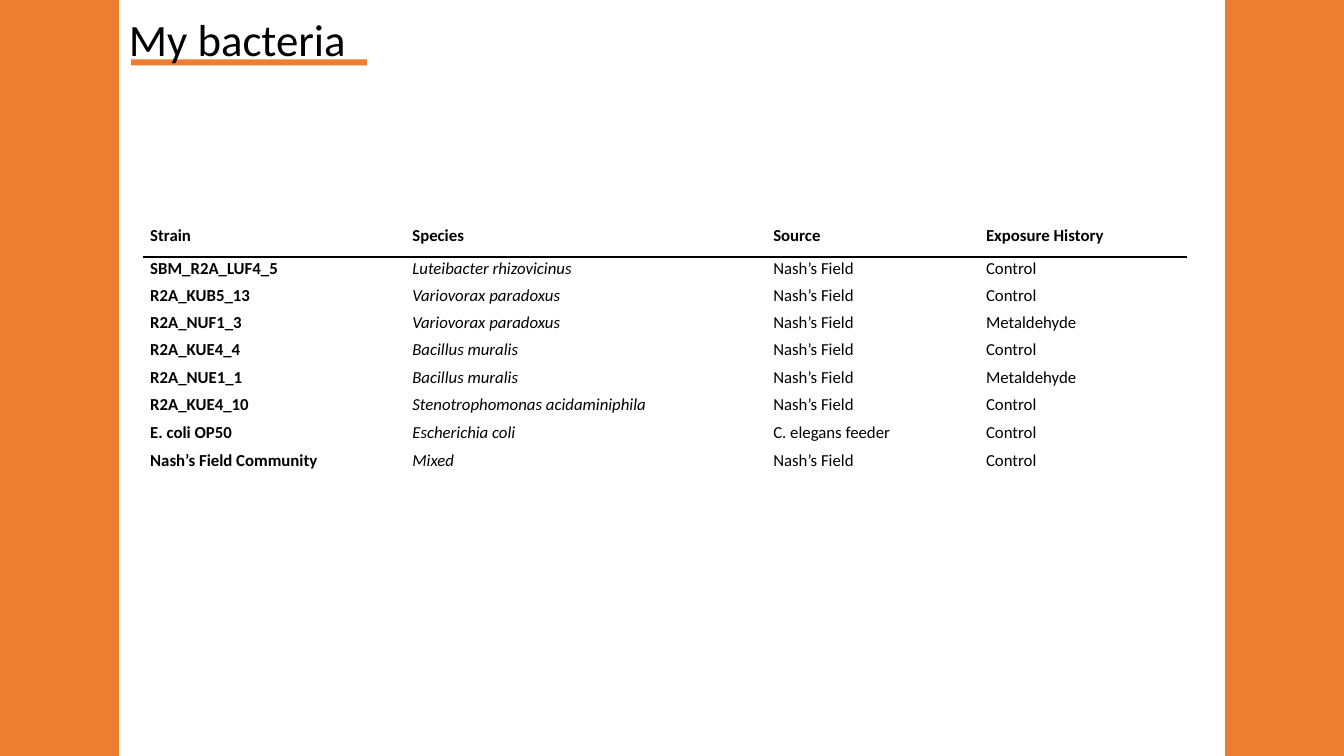
import pptx
import pptx.util
import pptx.dml.color
import pptx.enum.shapes
import pptx.enum.text
import pptx.oxml
import pptx.oxml.ns
from pptx.util import Inches
from dataclasses import dataclass


@dataclass(frozen=True)
class Theme:
    font: str = "Calibri"
    accent: str = "ED7D31"
    ink: str = "000000"
    paper: str = "FFFFFF"
    title_size: int = 32
    table_size: int = 12


theme = Theme()


def style_text(paragraph, size, spacing):
    paragraph.line_spacing = spacing
    paragraph.font.name = theme.font
    paragraph.font.size = pptx.util.Pt(size)
    paragraph.font.color.rgb = pptx.dml.color.RGBColor.from_string(theme.ink)


def add_border(cell, side, color):
    cell._tc.get_or_add_tcPr().append(pptx.oxml.parse_xml(
        f'<a:ln{side} {pptx.oxml.ns.nsdecls("a")} w="12700"><a:solidFill>'
        f'<a:srgbClr val="{color}"/></a:solidFill></a:ln{side}>'))


presentation = pptx.Presentation()
presentation.slide_width = Inches(13.33)
presentation.slide_height = Inches(7.5)
slide = presentation.slides.add_slide(presentation.slide_layouts[6])

underline = (1.3, 0.59, 2.34, 0.06)
left_band = (0, 0, 1.18, 7.5)
right_band = (12.15, 0, 1.18, 7.5)
for box in (underline, left_band, right_band):
    bar = slide.shapes.add_shape(
        pptx.enum.shapes.MSO_SHAPE.RECTANGLE, *map(Inches, box))
    bar.shadow.inherit = False
    bar.fill.solid()
    bar.fill.fore_color.rgb = pptx.dml.color.RGBColor.from_string(theme.accent)
    bar.line.fill.background()

title = slide.shapes.add_textbox(
    Inches(1.18), Inches(-0.31), Inches(11.5), Inches(1.45)).text_frame
title.word_wrap = True
title.vertical_anchor = pptx.enum.text.MSO_ANCHOR.MIDDLE
title.text = "My bacteria"
style_text(title.paragraphs[0], theme.title_size, 0.9)

strains = [
    ("Strain", "Species", "Source", "Exposure History"),
    ("SBM_R2A_LUF4_5", "Luteibacter rhizovicinus", "Nash’s Field", "Control"),
    ("R2A_KUB5_13", "Variovorax paradoxus", "Nash’s Field", "Control"),
    ("R2A_NUF1_3", "Variovorax paradoxus", "Nash’s Field", "Metaldehyde"),
    ("R2A_KUE4_4", "Bacillus muralis", "Nash’s Field", "Control"),
    ("R2A_NUE1_1", "Bacillus muralis", "Nash’s Field", "Metaldehyde"),
    ("R2A_KUE4_10", "Stenotrophomonas acidaminiphila", "Nash’s Field", "Control"),
    ("E. coli OP50", "Escherichia coli", "C. elegans feeder", "Control"),
    ("Nash’s Field Community", "Mixed", "Nash’s Field", "Control"),
]
column_widths = [2.6, 3.58, 2.11, 2.06]
row_heights = [0.33] + [0.27] * 5 + [0.28] * 2 + [0.56]

strain_table = slide.shapes.add_table(
    len(strains), len(column_widths), Inches(1.42), Inches(2.22),
    Inches(sum(column_widths)), Inches(sum(row_heights))).table
strain_table.horz_banding = False
for column, width in zip(strain_table.columns, column_widths):
    column.width = Inches(width)

for row_index, (strain, height) in enumerate(zip(strains, row_heights)):
    strain_table.rows[row_index].height = Inches(height)
    for column_index, wording in enumerate(strain):
        cell = strain_table.cell(row_index, column_index)
        cell.margin_left = cell.margin_right = Inches(0.07)
        cell.margin_top = cell.margin_bottom = 0
        cell.text = wording
        paragraph = cell.text_frame.paragraphs[0]
        style_text(paragraph, theme.table_size, 1.07)
        paragraph.alignment = pptx.enum.text.PP_ALIGN.JUSTIFY
        paragraph.font.bold = row_index == 0 or column_index == 0
        paragraph.font.italic = row_index > 0 and column_index == 1
        add_border(cell, "L", theme.paper)
        add_border(cell, "R", theme.paper)
        add_border(cell, "T", theme.ink if row_index == 1 else theme.paper)
        add_border(cell, "B", theme.ink if row_index == 0 else theme.paper)
        cell.fill.background()

presentation.save("out.pptx")
